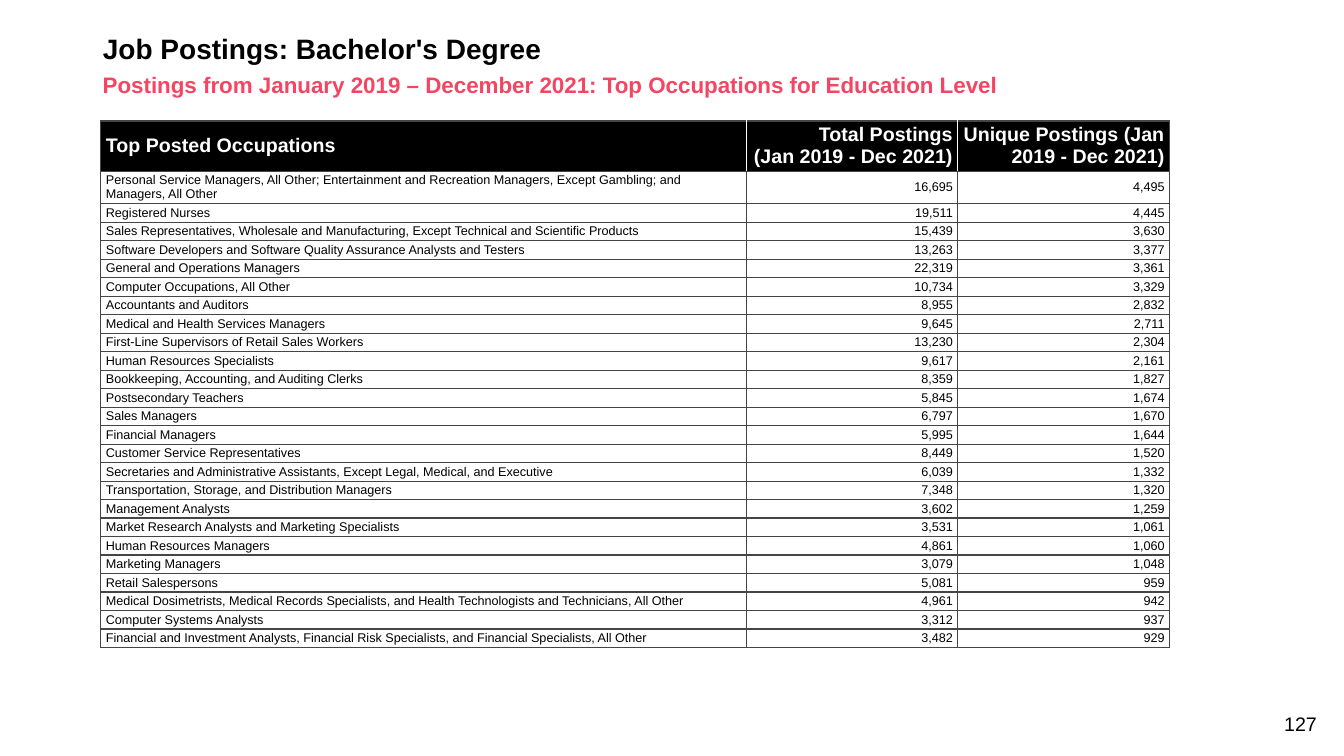
from lxml.etree import SubElement
from pptx import Presentation
from pptx.dml.color import RGBColor
from pptx.enum.text import MSO_ANCHOR, PP_ALIGN
from pptx.oxml.ns import qn
from pptx.util import Inches, Pt

# Content
TITLE = "Job Postings: Bachelor's Degree"
SUBTITLE = "Postings from January 2019 – December 2021: Top Occupations for Education Level"
PAGE = "127"
HEADER = ("Top Posted Occupations", "Total Postings\n(Jan 2019 - Dec 2021)",
          "Unique Postings (Jan 2019 - Dec 2021)")
OCCUPATIONS = [
    ("Personal Service Managers, All Other; Entertainment and Recreation Managers, "
     "Except Gambling; and Managers, All Other", 16695, 4495),
    ("Registered Nurses", 19511, 4445),
    ("Sales Representatives, Wholesale and Manufacturing, Except Technical and "
     "Scientific Products", 15439, 3630),
    ("Software Developers and Software Quality Assurance Analysts and Testers", 13263, 3377),
    ("General and Operations Managers", 22319, 3361),
    ("Computer Occupations, All Other", 10734, 3329),
    ("Accountants and Auditors", 8955, 2832),
    ("Medical and Health Services Managers", 9645, 2711),
    ("First-Line Supervisors of Retail Sales Workers", 13230, 2304),
    ("Human Resources Specialists", 9617, 2161),
    ("Bookkeeping, Accounting, and Auditing Clerks", 8359, 1827),
    ("Postsecondary Teachers", 5845, 1674),
    ("Sales Managers", 6797, 1670),
    ("Financial Managers", 5995, 1644),
    ("Customer Service Representatives", 8449, 1520),
    ("Secretaries and Administrative Assistants, Except Legal, Medical, and Executive",
     6039, 1332),
    ("Transportation, Storage, and Distribution Managers", 7348, 1320),
    ("Management Analysts", 3602, 1259),
    ("Market Research Analysts and Marketing Specialists", 3531, 1061),
    ("Human Resources Managers", 4861, 1060),
    ("Marketing Managers", 3079, 1048),
    ("Retail Salespersons", 5081, 959),
    ("Medical Dosimetrists, Medical Records Specialists, and Health Technologists and "
     "Technicians, All Other", 4961, 942),
    ("Computer Systems Analysts", 3312, 937),
    ("Financial and Investment Analysts, Financial Risk Specialists, and Financial "
     "Specialists, All Other", 3482, 929),
]

# Format
BLACK = RGBColor(0x00, 0x00, 0x00)
WHITE = RGBColor(0xFF, 0xFF, 0xFF)
ROSE = RGBColor(0xF5, 0x45, 0x62)
GRID = RGBColor(0x45, 0x45, 0x45)
COL_WIDTHS = (6.4, 2.1, 2.1)
HEADER_HEIGHT, BODY_HEIGHT = 0.5, 4.59
CELL = dict(margin_left=Inches(0.05), margin_right=Inches(0.05), margin_top=Inches(0.01),
            margin_bottom=Inches(0.01), vertical_anchor=MSO_ANCHOR.MIDDLE)


def set_all(obj, values):
    for name, value in values.items():
        setattr(obj, name, value)


def write(tf, text, size, color, bold=False, align=PP_ALIGN.LEFT, spacing=None):
    tf.text = text
    for p in tf.paragraphs:
        set_all(p, dict(alignment=align, line_spacing=spacing))
        for r in p.runs:
            set_all(r.font, dict(name="Arial", size=Pt(size), bold=bold))
            r.font.color.rgb = color


def place(sp, left, top, width, height, anchor):
    set_all(sp, dict(left=Inches(left), top=Inches(top),
                     width=Inches(width), height=Inches(height)))
    set_all(sp.text_frame, dict(
        word_wrap=True, vertical_anchor=anchor, margin_left=Inches(0.1),
        margin_right=Inches(0.1), margin_top=Inches(0.05), margin_bottom=Inches(0.05)))
    return sp.text_frame


def add_borders(cell, colors):
    for side, color in colors.items():
        ln = SubElement(cell._tc.get_or_add_tcPr(), qn(f"a:ln{side}"), w=str(Pt(1)))
        SubElement(SubElement(ln, qn("a:solidFill")), qn("a:srgbClr"), val=str(color))


prs = Presentation()
prs.slide_width, prs.slide_height = Inches(13.33), Inches(7.5)
s = prs.slides.add_slide(prs.slide_layouts[5])

# Title, subtitle and page number
tf = place(s.shapes.title, 0.92, 0.3, 11.5, 0.4, MSO_ANCHOR.MIDDLE)
write(tf, TITLE, 20, BLACK, bold=True, spacing=0.9)
tf = place(s.shapes.add_textbox(0, 0, 0, 0), 0.92, 0.71, 11.5, 0.3, MSO_ANCHOR.MIDDLE)
write(tf, SUBTITLE, 16, ROSE, bold=True, spacing=0.9)
tf = place(s.shapes.add_textbox(0, 0, 0, 0), 12.36, 7.01, 0.8, 0.34, MSO_ANCHOR.BOTTOM)
write(tf, PAGE, 14, BLACK, align=PP_ALIGN.RIGHT)

# Occupations table
rows = [HEADER] + [(name, f"{total:,}", f"{unique:,}") for name, total, unique in OCCUPATIONS]
table = s.shapes.add_table(len(rows), len(HEADER), Inches(1), Inches(1.2),
                           Inches(sum(COL_WIDTHS)), Inches(HEADER_HEIGHT + BODY_HEIGHT)).table
table.horz_banding = False
for column, width in zip(table.columns, COL_WIDTHS):
    column.width = Inches(width)
for i, row in enumerate(rows):
    is_header = i == 0
    table.rows[i].height = Inches(HEADER_HEIGHT if is_header else BODY_HEIGHT / len(OCCUPATIONS))
    for j, text in enumerate(row):
        cell = table.cell(i, j)
        set_all(cell, CELL)
        inner = WHITE if is_header else GRID
        add_borders(cell, dict(L=inner if j > 0 else GRID,
                               R=inner if j < len(row) - 1 else GRID, T=GRID, B=GRID))
        cell.fill.solid()
        cell.fill.fore_color.rgb = BLACK if is_header else WHITE
        write(cell.text_frame, text, 14 if is_header else 9, WHITE if is_header else BLACK,
              bold=is_header, align=PP_ALIGN.RIGHT if j else PP_ALIGN.LEFT)

prs.save("out.pptx")
